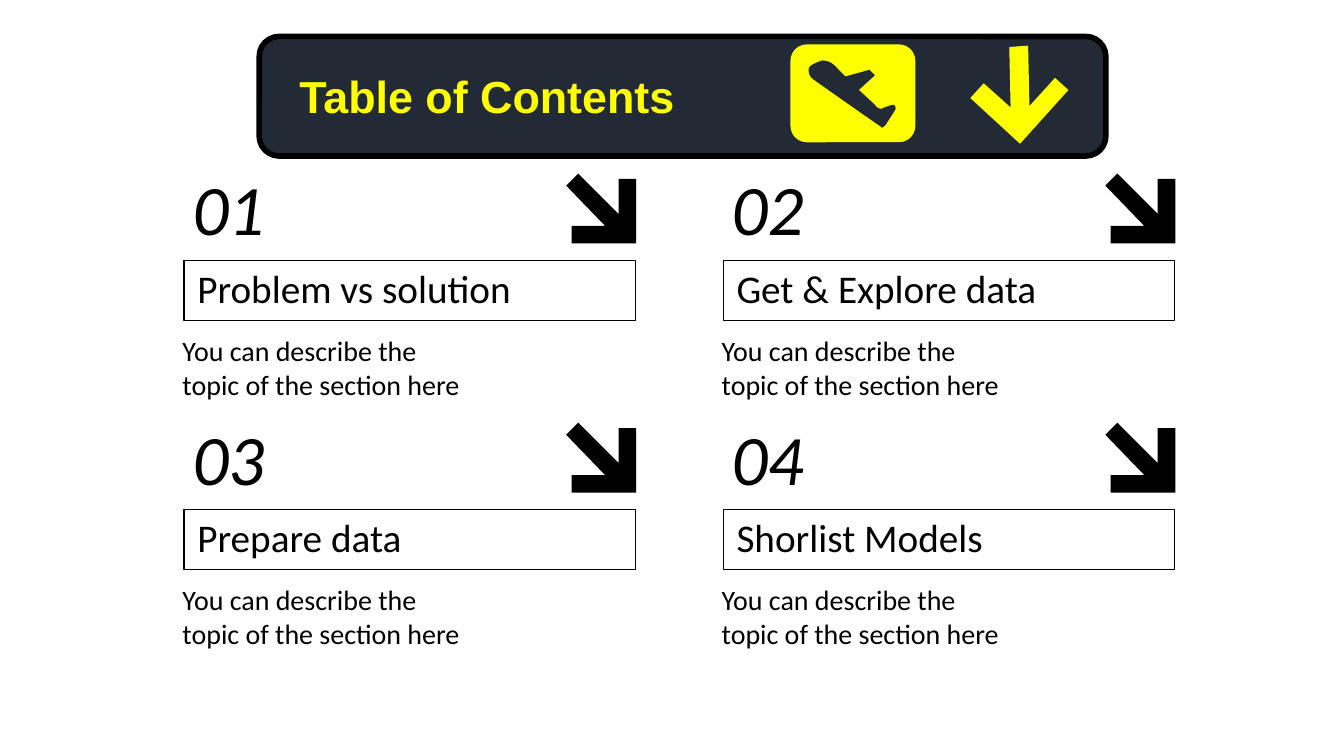
from pptx import Presentation
from pptx import util as u
from pptx.dml.color import RGBColor
from pptx.enum import shapes, text

COLORS = {"ink": "000000", "paper": "FFFFFF", "panel": "222A35", "sign": "FFFF00"}
HUNDREDTH = u.Cm(2.54) / 100  # outline points are hundredths of an inch

deck = Presentation()
deck.slide_width, deck.slide_height = u.Cm(25.4), u.Cm(14.29)
page = deck.slides.add_slide(deck.slide_layouts[6])


def add_outline(points, color, left=0, top=0):
    """Draw a closed, filled outline, offset by left and top."""
    dots = [(round(left + x * HUNDREDTH), round(top + y * HUNDREDTH)) for x, y in points]
    builder = page.shapes.build_freeform(*dots[0], scale=1.0)
    builder.add_line_segments(dots[1:], close=True)
    outline = builder.convert_to_shape()
    outline.shadow.inherit = False
    outline.fill.solid()
    outline.fill.fore_color.rgb = RGBColor.from_string(COLORS[color])
    outline.line.fill.background()


def write(box, words, color, anchor=text.MSO_ANCHOR.MIDDLE, inset=0.25,
          align=text.PP_ALIGN.LEFT, spacing=1.0, **font):
    frame = box.text_frame
    frame.word_wrap = True
    frame.vertical_anchor = anchor
    frame.margin_left = frame.margin_right = u.Cm(0.25)
    frame.margin_top = frame.margin_bottom = u.Cm(inset)
    para = frame.paragraphs[0]
    para.alignment, para.line_spacing = align, spacing
    span = para.add_run()
    span.text = words
    span.font.color.rgb = RGBColor.from_string(COLORS[color])
    for name, value in font.items():
        setattr(span.font, name, value)


# Four sections in a two by two grid
topics = ["Problem vs solution", "Get & Explore data", "Prepare data", "Shorlist Models"]
section_arrow = [(9, 0), (0, 9), (29, 39), (4, 39), (4, 52),
                 (52, 52), (52, 4), (39, 4), (39, 30)]
for index, topic in enumerate(topics):
    row, column = divmod(index, 2)
    left, top = 3.2 + 10.19 * column, 3.15 + 4.71 * row

    heading = page.shapes.add_shape(
        shapes.MSO_SHAPE.RECTANGLE,
        u.Cm(left + 0.28), u.Cm(top + 1.77), u.Cm(8.53), u.Cm(1.14))
    heading.shadow.inherit = False
    heading.fill.solid()
    heading.fill.fore_color.rgb = RGBColor.from_string(COLORS["paper"])
    heading.line.color.rgb = RGBColor.from_string(COLORS["ink"])
    heading.line.width = u.Pt(0.75)
    write(heading, topic, "ink", spacing=0.9, name="Calibri", size=u.Pt(21))

    summary = page.shapes.add_textbox(
        u.Cm(left), u.Cm(top + 3.07), u.Cm(5.89), u.Cm(1.45))
    write(summary, "You can describe the topic of the section here", "ink",
          name="Calibri", size=u.Pt(15))

    number = page.shapes.add_textbox(u.Cm(left), u.Cm(top), u.Cm(2.24), u.Cm(1.75))
    write(number, f"{index + 1:02d}", "ink", align=text.PP_ALIGN.CENTER, spacing=0.9,
          name="Calibri", size=u.Pt(38), italic=True)

    add_outline(section_arrow, "ink", u.Cm(left + 7.5), u.Cm(top + 0.13))

# Airport sign with the title
banner = page.shapes.add_shape(
    shapes.MSO_SHAPE.ROUNDED_RECTANGLE, u.Cm(4.9), u.Cm(0.69), u.Cm(16), u.Cm(2.26))
badge = page.shapes.add_shape(
    shapes.MSO_SHAPE.ROUNDED_RECTANGLE, u.Cm(14.94), u.Cm(0.84), u.Cm(2.36), u.Cm(1.85))
for panel, color in ((banner, "panel"), (badge, "sign")):
    panel.shadow.inherit = False
    panel.fill.solid()
    panel.fill.fore_color.rgb = RGBColor.from_string(COLORS[color])
banner.line.color.rgb = RGBColor.from_string(COLORS["ink"])
banner.line.width = u.Pt(3)
badge.line.fill.background()

title = page.shapes.add_textbox(u.Cm(5.41), u.Cm(1.17), u.Cm(8.79), u.Cm(1.27))
write(title, "Table of Contents", "sign", anchor=text.MSO_ANCHOR.TOP, inset=0.13,
      name="Arial", size=u.Pt(24), bold=True)

add_outline([(765, 34), (751, 35), (752, 80), (732, 62), (722, 73), (759, 107),
             (795, 67), (785, 58), (766, 79)], "sign")

# Each step is one point for a line or three for a Bezier curve
plane_steps = [
    [(612, 45)], [(617, 45), (621, 48), (624, 52)], [(629, 57)], [(647, 52)],
    [(650, 55)], [(651, 55), (651, 57), (650, 57)], [(639, 67)], [(651, 78)],
    [(652, 80), (654, 81), (656, 81)], [(657, 81), (657, 80), (658, 80)],
    [(664, 78)], [(665, 78)], [(666, 78), (667, 81), (666, 82)], [(659, 93)],
    [(658, 94), (657, 95), (656, 95)], [(656, 95), (655, 94), (655, 94)],
    [(652, 92)], [(632, 78)], [(605, 59)], [(602, 57), (601, 53), (602, 50)],
    [(603, 50), (603, 49), (603, 49)], [(606, 47), (609, 46), (612, 45)],
]
plane = []
for step in plane_steps:
    if len(step) == 1:
        plane += step
        continue
    corners = [plane[-1], *step]
    for t in (0.25, 0.5, 0.75, 1):
        weights = ((1 - t) ** 3, 3 * t * (1 - t) ** 2, 3 * t * t * (1 - t), t ** 3)
        plane.append(tuple(sum(w * c[axis] for w, c in zip(weights, corners))
                           for axis in (0, 1)))
add_outline(plane, "panel")

deck.save("out.pptx")
